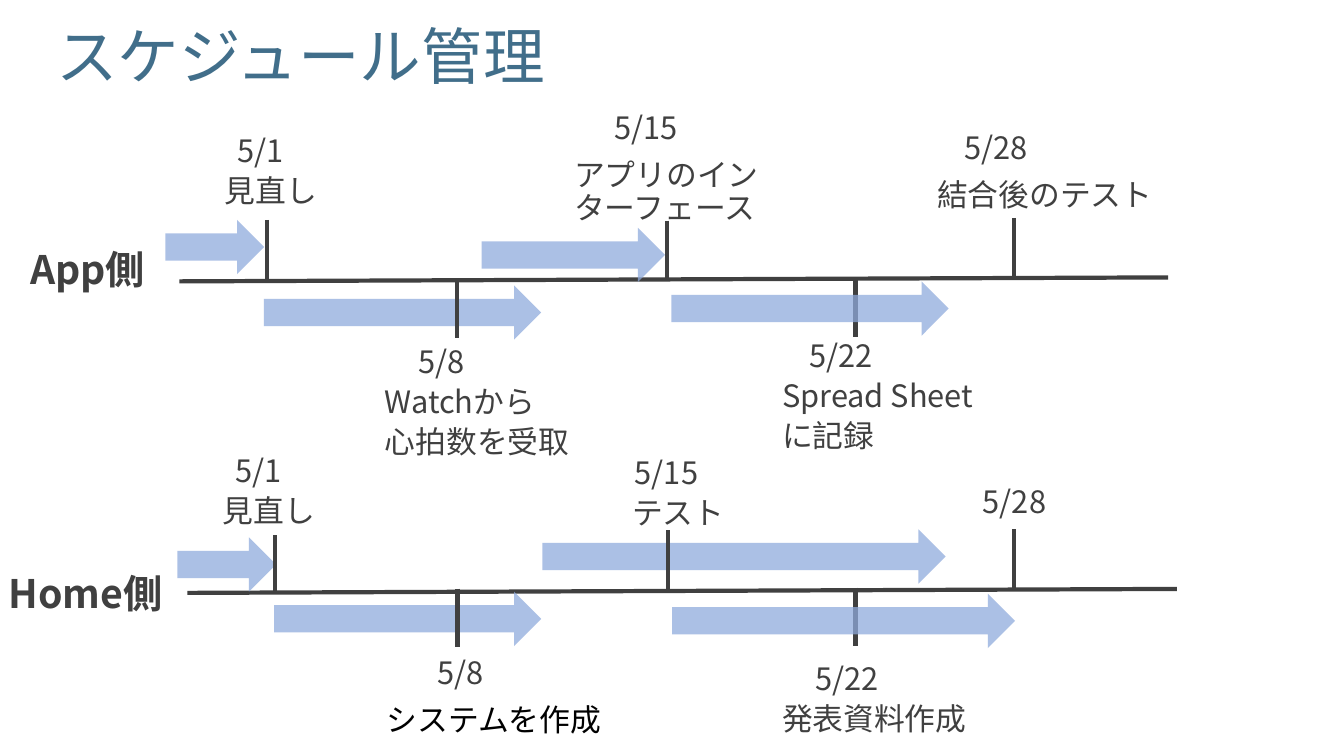
from typing import NamedTuple

from lxml.etree import SubElement
from pptx import Presentation
from pptx.dml.color import RGBColor
from pptx.enum.shapes import MSO_CONNECTOR, MSO_SHAPE
from pptx.enum.text import MSO_ANCHOR
from pptx.oxml.ns import qn
from pptx.util import Cm, Pt


class Theme(NamedTuple):
    title_color: RGBColor = RGBColor(0x41, 0x6E, 0x8A)
    ink: RGBColor = RGBColor(0x40, 0x40, 0x40)
    black: RGBColor = RGBColor(0, 0, 0)
    arrow_color: RGBColor = RGBColor(0x8F, 0xAA, 0xDC)
    arrow_alpha: int = 74000
    title_font: str = "Arial"
    body_font: str = "Noto Sans CJK JP"
    title_size: float = 44
    label_size: float = 28
    note_size: float = 22
    line_width: float = 3
    paragraph_gap: float = 10


class Box(NamedTuple):
    left: float
    top: float
    width: float
    height: float

    def inside(self, left, top, width, height):
        return Box(self.left + left, self.top + top, width, height)


class Note(NamedTuple):
    left: float
    top: float
    width: float
    date: str
    date_indent: float
    lines: tuple = ()
    line_spacing: float = 0.7
    line_indent: float = 0
    color: RGBColor = None


class Lane(NamedTuple):
    box: Box
    label: str
    label_box: tuple
    arrows: tuple
    ticks: tuple
    front_arrow: tuple
    notes: tuple


THEME = Theme()
TICK_LENGTH = 1.48
ARROW_HEIGHT = 1.37

APP_LANE = Lane(
    box=Box(4.52, 7.09, 24.92, -0.1),
    label="App側",
    label_box=(-4.01, -0.89, 3.68, 1.52),
    arrows=((-0.35, -1.55, 2.49), (2.13, 0.1, 6.99), (7.62, -1.35, 4.62)),
    ticks=((2.21, -1.55), (6.99, -0.05), (12.29, -1.53), (17.04, -0.08), (21.03, -1.6)),
    front_arrow=(12.4, 0, 6.99),
    notes=(
        Note(0.89, -3.64, 3.02, "5/1", 0.33, ("見直し",)),
        Note(4.93, 1.67, 5.28, "5/8", 0.85, ("Watchから", "心拍数を受取")),
        Note(9.7, -4.37, 5.84, "5/15", 1.02, ("アプリのインターフェース",), 0.9),
        Note(14.94, 1.52, 6.65, "5/22", 0.68, ("Spread Sheet", "に記録")),
        Note(18.85, -3.86, 6.71, "5/28", 0.69, ("結合後のテスト",), 0.9),
    ),
)

HOME_LANE = Lane(
    box=Box(4.72, 14.94, 24.94, -0.1),
    label="Home側",
    label_box=(-4.75, -0.59, 4.62, 1.52),
    arrows=((-0.25, -1.4, 2.49), (2.19, -0.03, 6.73), (8.95, -1.6, 10.16)),
    ticks=((2.21, -1.45), (6.81, -0.11), (12.12, -1.58), (16.84, -0.13), (20.83, -1.6)),
    front_arrow=(12.22, 0.02, 8.64),
    notes=(
        Note(0.64, -3.43, 3.02, "5/1", 0.33, ("見直し",)),
        Note(4.78, 1.52, 6.1, "5/8", 1.28, ("システムを作成",), 0.9, color=THEME.black),
        Note(10.01, -3.38, 8.26, "5/15", 1.02, ("テスト",), line_indent=0.95),
        Note(14.74, 1.82, 8.99, "5/22", 0.84, ("発表資料作成",)),
        Note(19.11, -2.8, 6.71, "5/28", 0.69, (), 0.9),
    ),
)


def centimetres(box):
    return [Cm(length) for length in box]


def add_frame(slide, box, wrap=True):
    frame = slide.shapes.add_textbox(*centimetres(box)).text_frame
    frame.word_wrap = wrap
    return frame


def write(paragraph, text, font_name, size, color, bold=False, line_spacing=0.9):
    paragraph.line_spacing = line_spacing
    run = paragraph.add_run()
    run.text = text
    run.font.name = font_name
    run.font.size = Pt(size)
    run.font.bold = bold
    run.font.color.rgb = color
    if font_name == THEME.body_font:
        SubElement(run.font._element, qn("a:ea")).set("typeface", font_name)


def add_line(slide, box):
    line = slide.shapes.add_connector(
        MSO_CONNECTOR.STRAIGHT,
        Cm(box.left), Cm(box.top),
        Cm(box.left + box.width), Cm(box.top + box.height),
    )
    line.line.color.rgb = THEME.ink
    line.line.width = Pt(THEME.line_width)
    SubElement(line._element.spPr, qn("a:effectLst"))


def add_arrow(slide, box):
    arrow = slide.shapes.add_shape(MSO_SHAPE.RIGHT_ARROW, *centimetres(box))
    arrow.shadow.inherit = False
    arrow.fill.solid()
    arrow.fill.fore_color.rgb = THEME.arrow_color
    color = arrow._element.spPr.find(qn("a:solidFill"))[0]
    SubElement(color, qn("a:alpha")).set("val", str(THEME.arrow_alpha))
    arrow.line.fill.background()


def add_note(slide, box, note):
    frame = add_frame(slide, box)
    for index, text in enumerate((note.date, *note.lines)):
        paragraph = frame.add_paragraph() if index else frame.paragraphs[0]
        indent = note.line_indent if index else note.date_indent
        paragraph._p.get_or_add_pPr().set("marL", str(Cm(indent)))
        if index:
            paragraph.space_before = Pt(THEME.paragraph_gap)
        color = note.color if index and note.color is not None else THEME.ink
        write(paragraph, text, THEME.body_font, THEME.note_size, color,
              line_spacing=note.line_spacing)


def add_title(slide, box, text):
    frame = add_frame(slide, box)
    frame.vertical_anchor = MSO_ANCHOR.MIDDLE
    write(frame.paragraphs[0], text, THEME.title_font, THEME.title_size, THEME.title_color)


def add_lane(slide, lane):
    box = lane.box
    label = add_frame(slide, box.inside(*lane.label_box), wrap=False)
    write(label.paragraphs[0], lane.label, THEME.body_font, THEME.label_size, THEME.ink, bold=True)
    add_line(slide, box)
    for note in lane.notes:
        add_note(slide, box.inside(note.left, note.top, note.width, 2.4), note)
    for arrow in lane.arrows:
        add_arrow(slide, box.inside(*arrow, ARROW_HEIGHT))
    for left, top in lane.ticks:
        add_line(slide, box.inside(left, top, 0, TICK_LENGTH))
    add_arrow(slide, box.inside(*lane.front_arrow, ARROW_HEIGHT))


def main():
    presentation = Presentation()
    presentation.slide_width = Cm(33.87)
    presentation.slide_height = Cm(19.05)
    slide = presentation.slides.add_slide(presentation.slide_layouts[6])
    add_title(slide, Box(1.17, -0.33, 29.21, 3.68), "スケジュール管理")
    for lane in (APP_LANE, HOME_LANE):
        add_lane(slide, lane)
    presentation.save("out.pptx")


if __name__ == "__main__":
    main()
